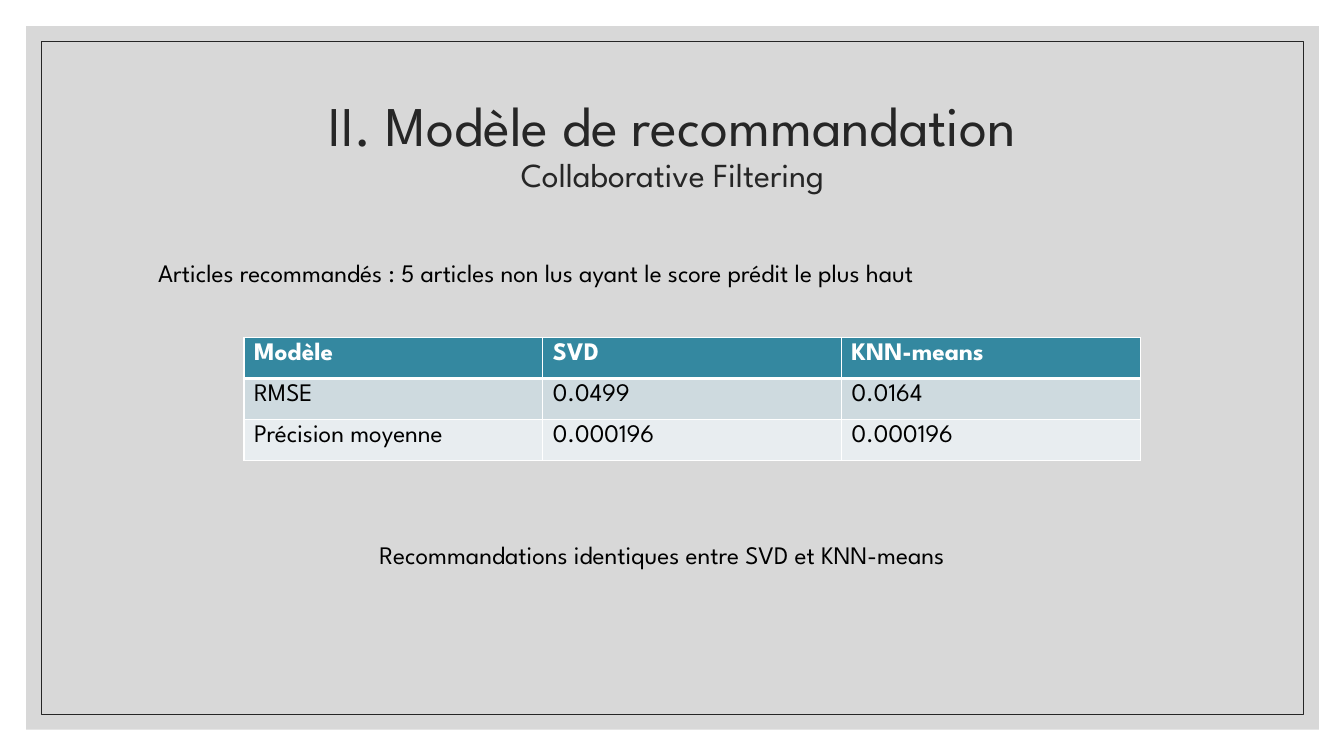
from lxml.etree import SubElement
from pptx import Presentation
from pptx.dml.color import RGBColor as Rgb
from pptx.enum.shapes import MSO_SHAPE as Shape
from pptx.enum.text import MSO_ANCHOR as Anchor, MSO_AUTO_SIZE as AutoSize, PP_ALIGN as Align
from pptx.oxml.ns import qn
from pptx.util import Inches, Pt

COLORS = {
    "panel": "BFBFBF", "ink": "262626", "text": "000000", "white": "FFFFFF",
    "header": "3488A0", "band_dark": "CEDADF", "band_light": "E8EDF0",
}


def add_span(para, text, size=18, color="text", bold=False, font="League Spartan"):
    span = para.add_run()
    span.text = text
    span.font.name = font
    span.font.size = Pt(size)
    span.font.bold = bold
    span.font.color.rgb = Rgb.from_string(COLORS[color])


class SlideBuilder:
    def __init__(self, deck):
        self.page = deck.slides.add_slide(deck.slide_layouts[5])

    def place(self, left, top, width, height):
        return [Inches(value) for value in (left, top, width, height)]

    def panel(self, *area, fill=None, opacity=100, line=None):
        box = self.page.shapes.add_shape(Shape.RECTANGLE, *self.place(*area))
        box.shadow.inherit = False
        if fill:
            box.fill.solid()
            box.fill.fore_color.rgb = Rgb.from_string(COLORS[fill])
            color = box.fill._xPr.find(qn("a:solidFill"))[0]
            SubElement(color, qn("a:alpha"), val=str(opacity * 1000))
        else:
            box.fill.background()
        if line:
            box.line.color.rgb = Rgb.from_string(COLORS[line])
            box.line.width = Pt(0.5)
        else:
            box.line.fill.background()

    def title(self, heading, subtitle, *area):
        box = self.page.shapes.title
        box._element.getparent().append(box._element)
        box.left, box.top, box.width, box.height = self.place(*area)
        frame = box.text_frame
        frame.auto_size = AutoSize.NONE
        frame.vertical_anchor = Anchor.MIDDLE
        para = frame.paragraphs[0]
        para.alignment = Align.CENTER
        para.line_spacing = 0.9
        add_span(para, heading, size=40, color="ink")
        para.add_line_break()
        SubElement(para._p[-1], qn("a:rPr"), sz="4000")
        add_span(para, subtitle, size=24, color="ink")

    def text(self, words, *area, align=Align.LEFT):
        frame = self.page.shapes.add_textbox(*self.place(*area)).text_frame
        frame.word_wrap = True
        para = frame.paragraphs[0]
        para.alignment = align
        para.space_before = Pt(5)
        para._p.get_or_add_pPr().set("marL", str(Inches(0.3)))
        add_span(para, words)

    def border(self, cell, side, width):
        line = SubElement(cell._tc.get_or_add_tcPr(), qn(f"a:ln{side}"), w=str(Pt(width)))
        fill = SubElement(line, qn("a:solidFill"))
        SubElement(fill, qn("a:srgbClr"), val=COLORS["white"])

    def table(self, rows, fills, *area):
        shape = self.page.shapes.add_table(len(rows), len(rows[0]), *self.place(*area))
        for row_index, (row, fill) in enumerate(zip(rows, fills)):
            header = row_index == 0
            for column_index, words in enumerate(row):
                cell = shape.table.cell(row_index, column_index)
                for side in "LRTB":
                    thick = (side == "B" and header) or (side == "T" and row_index == 1)
                    self.border(cell, side, 3 if thick else 1)
                cell.fill.solid()
                cell.fill.fore_color.rgb = Rgb.from_string(COLORS[fill])
                add_span(cell.text_frame.paragraphs[0], words, bold=header,
                         color="white" if header else "text")


deck = Presentation()
deck.slide_width, deck.slide_height = Inches(13.33), Inches(7.5)
slide = SlideBuilder(deck)
slide.panel(0.26, 0.26, 12.82, 6.98, fill="panel", opacity=60)
slide.panel(0.41, 0.41, 12.52, 6.68, line="ink")
slide.title("II. Modèle de recommandation", "Collaborative Filtering", 1.17, 0.7, 11, 1.5)
slide.text("Articles recommandés : 5 articles non lus ayant le score prédit le plus haut",
           1.17, 2.5, 9.55, 0.44)
slide.table(
    [["Modèle", "SVD", "KNN-means"],
     ["RMSE", "0.0499", "0.0164"],
     ["Précision moyenne", "0.000196", "0.000196"]],
    ["header", "band_dark", "band_light"], 2.42, 3.35, 8.89, 1.22)
slide.text("Recommandations identiques entre SVD et KNN-means",
           1.64, 5.3, 9.55, 0.44, align=Align.CENTER)
deck.save("out.pptx")
